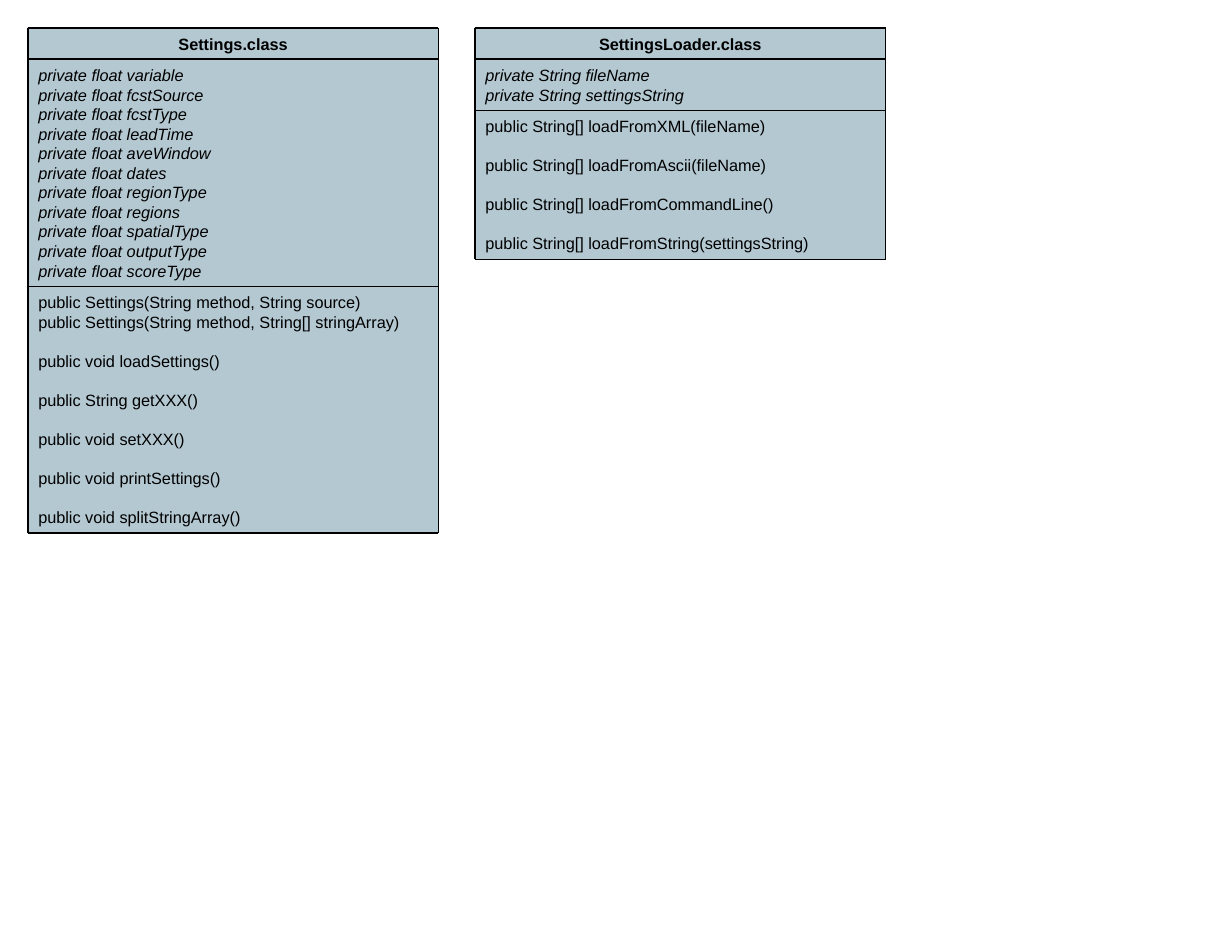
from lxml import etree
from pptx import Presentation
from pptx.dml.color import RGBColor
from pptx.enum.shapes import MSO_CONNECTOR, MSO_SHAPE
from pptx.enum.text import MSO_ANCHOR, PP_ALIGN
from pptx.oxml.ns import qn
from pptx.util import Cm, Pt

RECTANGLE = MSO_SHAPE.RECTANGLE
STRAIGHT = MSO_CONNECTOR.STRAIGHT
TOP = MSO_ANCHOR.TOP
LEFT, CENTER = PP_ALIGN.LEFT, PP_ALIGN.CENTER

COLORS = {"fill": "B4C8D2", "ink": "000000"}
LINE_HEIGHT = Pt(12)
INSET_X, INSET_Y = Cm(0.23), Cm(0.13)
FRAME_FORMAT = {
    "word_wrap": True, "vertical_anchor": TOP,
    "margin_left": INSET_X, "margin_right": INSET_X,
    "margin_top": INSET_Y, "margin_bottom": INSET_Y,
}
FONT_FORMAT = {"name": "Arial", "size": Pt(10)}

# Diagram grid
MARGIN = Cm(0.6)
CLASS_WIDTH = Cm(8.89)
CLASS_PITCH = Cm(9.68)

# Each class: title, fields, and methods in groups set apart by a blank line's height
CLASSES = [
    ("Settings.class",
     [f"private float {name}" for name in (
         "variable", "fcstSource", "fcstType", "leadTime", "aveWindow", "dates",
         "regionType", "regions", "spatialType", "outputType", "scoreType")],
     [["public Settings(String method, String source)",
       "public Settings(String method, String[] stringArray)"],
      ["public void loadSettings()"],
      ["public String getXXX()"],
      ["public void setXXX()"],
      ["public void printSettings()"],
      ["public void splitStringArray()"]]),
    ("SettingsLoader.class",
     ["private String fileName", "private String settingsString"],
     [["public String[] loadFromXML(fileName)"],
      ["public String[] loadFromAscii(fileName)"],
      ["public String[] loadFromCommandLine()"],
      ["public String[] loadFromString(settingsString)"]]),
]


def color(name):
    return RGBColor.from_string(COLORS[name])


def set_values(target, values):
    for name, value in values.items():
        setattr(target, name, value)


def add_compartment(shapes, left, top, width, groups, alignment=LEFT, **style):
    """Add a filled box sized to its lines of text; return its bottom edge."""
    line_count = sum(map(len, groups)) + len(groups) - 1
    height = line_count * LINE_HEIGHT + 2 * INSET_Y
    shape = shapes.add_shape(RECTANGLE, left, top, width, height)
    shape.shadow.inherit = False
    shape.fill.solid()
    shape.fill.fore_color.rgb = color("fill")
    shape.line.fill.background()

    frame = shape.text_frame
    set_values(frame, FRAME_FORMAT)
    lines = [(text, group_index > 0 and text_index == 0)
             for group_index, group in enumerate(groups)
             for text_index, text in enumerate(group)]
    for index, (text, starts_group) in enumerate(lines):
        paragraph = frame.add_paragraph() if index else frame.paragraphs[0]
        set_values(paragraph, {
            "alignment": alignment, "line_spacing": LINE_HEIGHT,
            "space_before": LINE_HEIGHT if starts_group else Pt(0)})
        run = paragraph.add_run()
        run.text = text
        set_values(run.font, {**FONT_FORMAT, **style})
        run.font.color.rgb = color("ink")
    return top + height


def add_rule(shapes, start_x, start_y, end_x, end_y):
    connector = shapes.add_connector(STRAIGHT, start_x, start_y, end_x, end_y)
    connector.line.color.rgb = color("ink")
    connector.line.width = Pt(1)
    etree.SubElement(connector._element.spPr, qn("a:effectLst"))


def add_class(slide, left, top, width, title, fields, methods):
    shapes = slide.shapes.add_group_shape().shapes

    # Compartments, stacked from the top
    title_bottom = add_compartment(shapes, left, top, width, [[title]], CENTER, bold=True)
    fields_bottom = add_compartment(shapes, left, title_bottom, width, [fields], italic=True)
    bottom = add_compartment(shapes, left, fields_bottom, width, methods)

    # Dividers and frame
    right = left + width
    for y in (title_bottom, fields_bottom, top, bottom):
        add_rule(shapes, left, y, right, y)
    for x in (left, right):
        add_rule(shapes, x, top, x, bottom)


def main():
    presentation = Presentation()
    presentation.slide_width, presentation.slide_height = Cm(26.67), Cm(20.32)
    slide = presentation.slides.add_slide(presentation.slide_layouts[6])
    for index, (title, fields, methods) in enumerate(CLASSES):
        add_class(slide, MARGIN + index * CLASS_PITCH, MARGIN, CLASS_WIDTH,
                  title, fields, methods)
    presentation.save("out.pptx")


if __name__ == "__main__":
    main()
